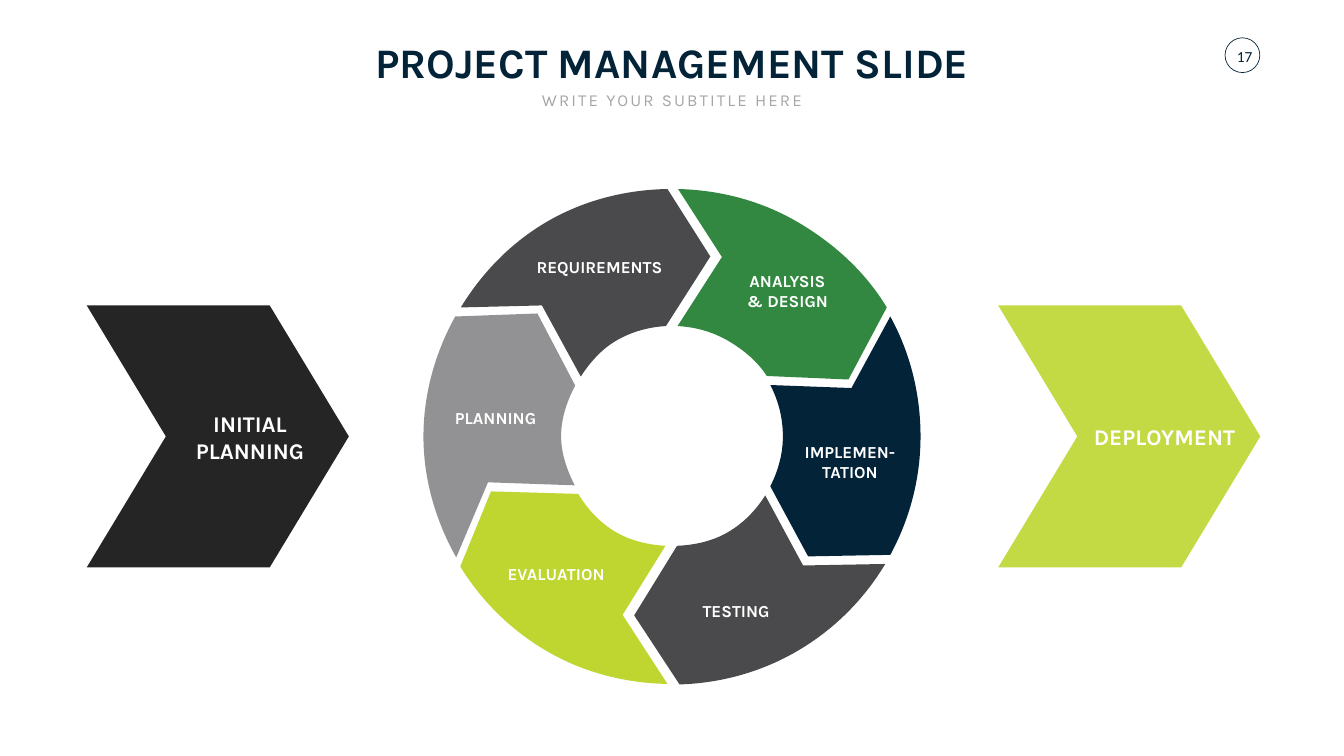
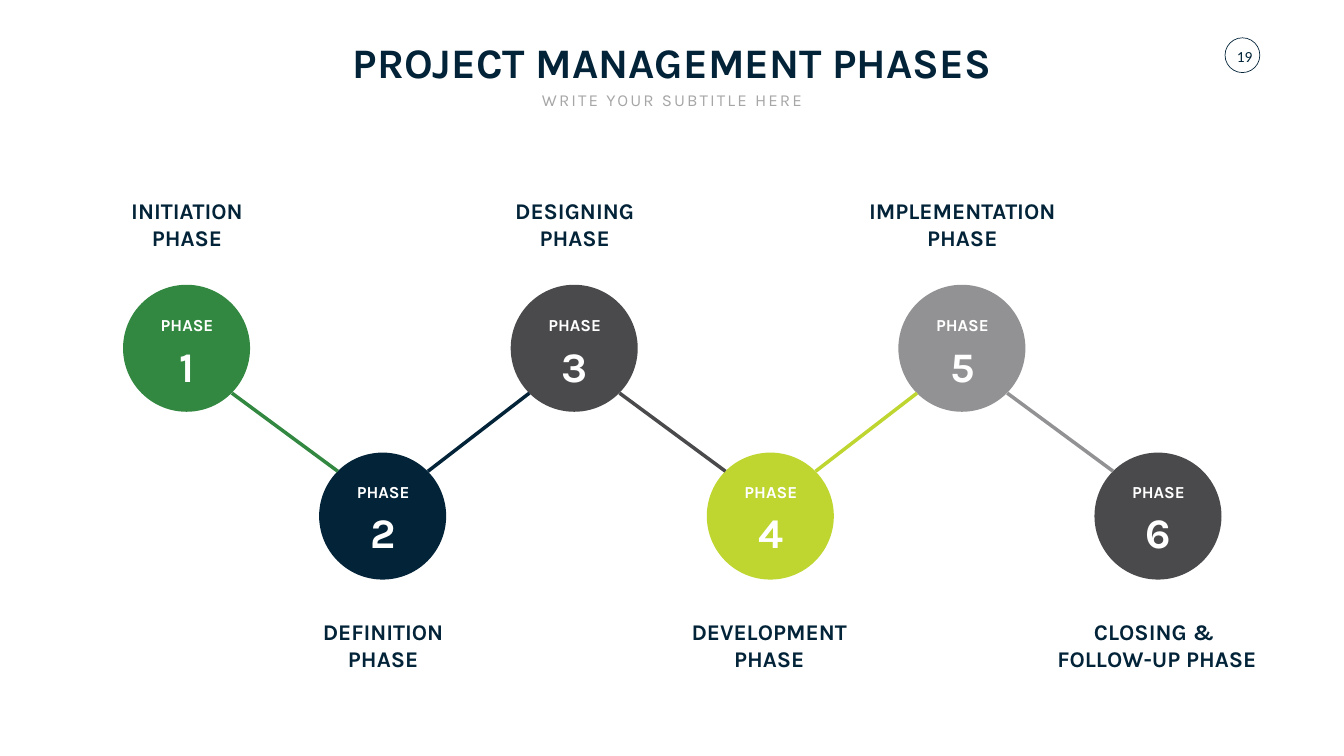
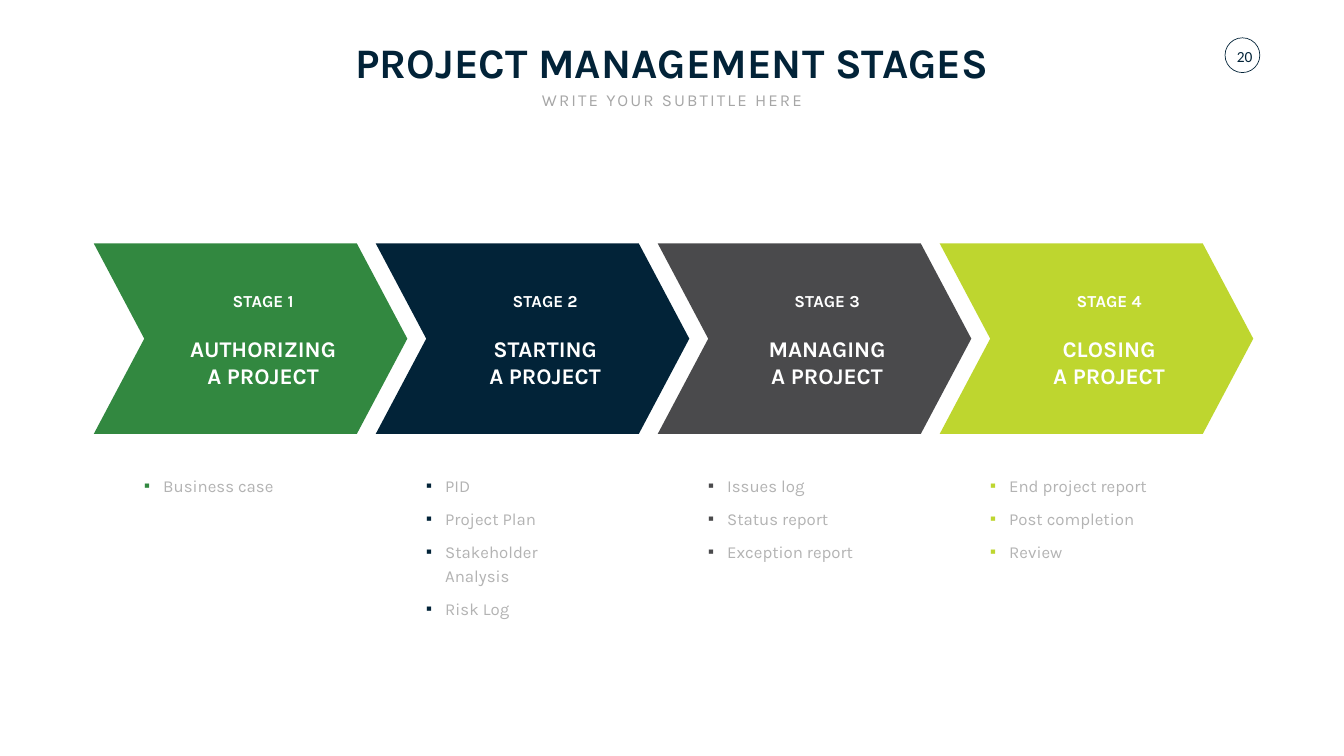
from math import atan2, cos, hypot, pi, sin, tan

from lxml.etree import SubElement
from pptx import Presentation
from pptx.dml.color import RGBColor
from pptx.enum.shapes import MSO_CONNECTOR, MSO_SHAPE
from pptx.enum.text import MSO_ANCHOR, MSO_AUTO_SIZE, PP_ALIGN
from pptx.oxml.ns import qn
from pptx.util import Inches, Pt

NAVY, GREEN, DARK, GREY, LIME = "022338", "328840", "4A4A4C", "929294", "BED62F"
BLACK, PALE, WHITE = "252526", "C4DA44", "FFFFFF"
SUB, BODY = "A6A6A6", "B3B3B3"
FACE, PLAIN = "Karla", "Calibri"
OUTER, INNER = 4.93, 2.2

RING = [
    (["REQUIREMENTS"], DARK, (-1.44, -3.37, 2.75),
     [(-0.12, -2.19), (0.76, -3.57), (-0.09, -4.91), (-4.19, -2.56), (-2.58, -2.6), (-1.81, -1.19)]),
    (["PLANNING"], GREY, (-3.5, -0.37, 1.94),
     [(-1.93, 0.97), (-3.65, 0.91), (-4.28, 2.4), (-4.3, -2.38), (-2.67, -2.44), (-1.92, -1.01)]),
    (["EVALUATION"], LIME, (-2.3, 2.72, 2.34),
     [(-0.13, 2.17), (-0.98, 3.54), (-0.09, 4.91), (-4.2, 2.58), (-3.59, 1.09), (-1.86, 1.14)]),
    (["TESTING"], DARK, (1.27, 3.45, 1.6),
     [(1.85, 1.17), (2.6, 2.56), (4.23, 2.53), (0.15, 4.92), (-0.75, 3.55), (0.1, 2.17)]),
    (["IMPLEMEN-", "TATION"], NAVY, (3.53, 0.51, 2.1),
     [(1.95, 0.99), (2.7, 2.38), (4.33, 2.35), (4.33, -2.38), (3.56, -0.96), (1.95, -1.02)]),
    (["ANALYSIS", "& DESIGN"], GREEN, (2.29, -2.89, 1.85),
     [(1.88, -1.2), (3.5, -1.13), (4.26, -2.56), (0.12, -4.91), (0.99, -3.56), (0.11, -2.19)]),
]
PHASES = [
    (["INITIATION", "PHASE"], GREEN, 2.62, 0),
    (["DEFINITION", "PHASE"], NAVY, 2.71, 0),
    (["DESIGNING", "PHASE"], DARK, 2.67, 0),
    (["DEVELOPMENT", "PHASE"], LIME, 3.44, -0.03),
    (["IMPLEMENTATION", "PHASE"], GREY, 4.16, 0),
    (["CLOSING & ", "FOLLOW-UP PHASE"], DARK, 4.46, -0.03),
]
STAGES = [
    ("AUTHORIZING", GREEN, 3.3, ["Business case"]),
    ("STARTING", NAVY, 2.66, ["PID", "Project Plan", "Stakeholder Analysis", "Risk Log"]),
    ("MANAGING", DARK, 2.77, ["Issues log", "Status report", "Exception report"]),
    ("CLOSING", LIME, 2.66, ["End project report", "Post completion", "Review"]),
]


def ink(code):
    """Turn a hex string into a colour."""
    return RGBColor.from_string(code)


def apply(obj, look):
    """Set each attribute named in a dict."""
    for key, val in look.items():
        setattr(obj, key, val)


def style(para, size, color, bold=True, face=FACE):
    """Format the font of a paragraph."""
    apply(para.font, {"size": Pt(size), "bold": bold, "name": face})
    para.font.color.rgb = ink(color)


def fill(shape, color):
    """Give a shape a flat fill, or none, with no line or shadow."""
    shape.shadow.inherit = False
    shape.line.fill.background()
    if color:
        shape.fill.solid()
        shape.fill.fore_color.rgb = ink(color)
    else:
        shape.fill.background()


def place(slide, kind, box, color=None, adj=None):
    """Add a preset shape."""
    shape = slide.shapes.add_shape(kind, *map(Inches, box))
    fill(shape, color)
    if adj:
        shape.adjustments[0] = adj
    return shape


def write(frame, lines, size, color, bold=True, face=FACE):
    """Fill a frame with centred lines that do not wrap."""
    apply(frame, {"word_wrap": False, "vertical_anchor": MSO_ANCHOR.MIDDLE,
                  "auto_size": MSO_AUTO_SIZE.SHAPE_TO_FIT_TEXT})
    for i, line in enumerate(lines):
        para = frame.add_paragraph() if i else frame.paragraphs[0]
        para.text = line
        para.alignment = PP_ALIGN.CENTER
        style(para, size, color, bold, face)


def span(x, y, wide, size, count=1):
    """Return the box of a text block centred on a point."""
    high = 0.1 + count * size * 0.0169
    return [Inches(v) for v in (x - wide / 2, y - high / 2, wide, high)]


def label(slide, x, y, wide, lines, size, color=WHITE, bold=True):
    """Add a text block centred on a point."""
    box = slide.shapes.add_textbox(*span(x, y, wide, size, len(lines)))
    write(box.text_frame, lines, size, color, bold)
    return box


def badge(slide, x, y, number):
    """Add the ringed page number."""
    ring = place(slide, MSO_SHAPE.OVAL, (x, y, 0.69, 0.69))
    ring.line.color.rgb = ink(NAVY)
    ring.line.width = Pt(1)
    frame = place(slide, MSO_SHAPE.OVAL, (x + 0.06, y + 0.04, 0.66, 0.66)).text_frame
    write(frame, [number], 22, NAVY, False, PLAIN)
    apply(frame, {"auto_size": MSO_AUTO_SIZE.NONE, "margin_left": 0,
                  "margin_right": 0, "margin_top": 0, "margin_bottom": 0})


def start(deck, title, wide, number):
    """Add a slide with its title, subtitle and page number."""
    slide = deck.slides.add_slide(deck.slide_layouts[5])
    head = slide.shapes.title
    apply(head, dict(zip(("left", "top", "width", "height"), span(13.33, 1.22, wide, 60))))
    write(head.text_frame, [title], 60, NAVY)
    sub = label(slide, 13.33, 1.98, 5.43, ["WRITE YOUR SUBTITLE HERE"], 24, SUB, False)
    sub.text_frame.paragraphs[0].runs[0].font._element.set("spc", "300")
    badge(slide, 24.3, 0.75, number)
    return slide


def arc(here, there, mid):
    """Return two curves, three points each, along the short arc about the origin."""
    a, b = (atan2(y, x) for x, y in (here, there))
    half = ((b - a + pi) % (2 * pi) - pi) / 2
    pull = 4 / 3 * tan(half / 4)
    stops = [(a, hypot(*here)), (a + half, mid), (a + 2 * half, hypot(*there))]
    pts = []
    for (s, p), (t, q) in zip(stops, stops[1:]):
        pts += [(p * (cos(s) - pull * sin(s)), p * (sin(s) + pull * cos(s))),
                (q * (cos(t) + pull * sin(t)), q * (sin(t) - pull * cos(t))),
                (q * cos(t), q * sin(t))]
    return pts


def bend(shape, firsts):
    """Merge three line steps into one curve at each given step."""
    steps = list(shape._element.iter(qn("a:lnTo")))
    for i in firsts:
        steps[i].tag = qn("a:cubicBezTo")
        for step in steps[i + 1:i + 3]:
            steps[i].append(step[0])
            step.getparent().remove(step)


def sector(group, x, y, pts, color):
    """Draw one arrow segment of the ring about a centre."""
    edge = pts[:3] + arc(pts[2], pts[3], OUTER) + pts[4:] + arc(pts[5], pts[0], INNER)
    dots = [(Inches(x + u), Inches(y + v)) for u, v in edge]
    pen = group.build_freeform(*dots[0])
    pen.add_line_segments(dots[1:])
    shape = pen.convert_to_shape()
    bend(shape, (2, 5, 10, 13))
    fill(shape, color)


def wheel(slide, x, y):
    """Draw the ring of arrow segments about a centre, with labels."""
    group = slide.shapes.add_group_shape().shapes
    for lines, color, spot, pts in RING:
        sector(group, x, y, pts, color)
    for lines, color, (u, v, wide), pts in RING:
        label(slide, x + u, y + v, wide, lines, 24)


def gate(slide, x, y, color, lines, shift, wide):
    """Draw a large chevron with its label."""
    place(slide, MSO_SHAPE.CHEVRON, (x, y, 5.2, 5.2), color, 0.302)
    label(slide, x + shift, y + 2.61, wide, lines, 32)


def link(slide, ends, color):
    """Join two points with a thick line."""
    line = slide.shapes.add_connector(MSO_CONNECTOR.STRAIGHT, *map(Inches, ends))
    line.line.color.rgb = ink(color)
    line.line.width = Pt(5)
    SubElement(line._element.spPr, qn("a:effectLst"))


def phase(slide, x, y, index):
    """Draw one phase circle with its number and caption."""
    lines, color, wide, shift = PHASES[index]
    word, digit, text = (0.77, 1.57, 3.81) if index % 2 else (0.79, 1.6, -1.21)
    mid = x + 1.27
    place(slide, MSO_SHAPE.OVAL, (x, y, 2.52, 2.52), color)
    label(slide, mid, y + word, 1.3, ["PHASE"], 24)
    label(slide, mid, y + digit, 0.72, [str(index + 1)], 60)
    label(slide, mid + shift, y + text, wide, lines, 32, NAVY)


def zigzag(slide, x, y):
    """Lay the phases out in two rows and join them."""
    spots = [(x + 7.69 * (i // 2) + 3.89 * (i % 2), y + 3.33 * (i % 2))
             for i in range(len(PHASES))]
    for i, (left, top) in enumerate(spots):
        phase(slide, left, top, i)
    rows = (y + 2.15, y + 3.7)
    for i, (here, there) in enumerate(zip(spots, spots[1:])):
        ends = (here[0] + 2.16, rows[i % 2], there[0] + 0.37, rows[1 - i % 2])
        link(slide, ends, PHASES[i][1])


def bullets(slide, x, y, items, color):
    """Add a list with coloured square bullets."""
    box = slide.shapes.add_textbox(*map(Inches, (x, y, 3.67, 0.66 * len(items) - 0.12)))
    frame = box.text_frame
    apply(frame, {"word_wrap": True, "auto_size": MSO_AUTO_SIZE.SHAPE_TO_FIT_TEXT})
    for i, item in enumerate(items):
        para = frame.add_paragraph() if i else frame.paragraphs[0]
        para.text = item
        props = para._p.get_or_add_pPr()
        props.set("marL", str(Inches(0.38)))
        props.set("indent", str(-Inches(0.38)))
        SubElement(SubElement(props, qn("a:buClr")), qn("a:srgbClr"), val=color)
        SubElement(props, qn("a:buFont"), typeface=PLAIN)
        SubElement(props, qn("a:buChar"), char="▪")
        apply(para, {"line_spacing": Pt(35), "space_before": Pt(12 if i else 0)})
        style(para, 24, BODY, False)


def stage(slide, x, y, index):
    """Draw one stage chevron with its list below."""
    name, color, wide, items = STAGES[index]
    place(slide, MSO_SHAPE.CHEVRON, (x, y, 6.22, 3.78), color, 0.265)
    label(slide, x + 3.36, y + 1.14, 1.56, [f"STAGE {index + 1}"], 24)
    label(slide, x + 3.36, y + 2.36, wide, [name, "A PROJECT"], 32)
    bullets(slide, x + 0.9, y + 4.47, items, color)


def main():
    """Build and save the deck."""
    deck = Presentation()
    apply(deck, {"slide_width": Inches(26.66), "slide_height": Inches(15)})
    slide = start(deck, "PROJECT MANAGEMENT SLIDE", 12.72, "17")
    wheel(slide, 13.33, 8.66)
    gate(slide, 1.72, 6.06, BLACK, ["INITIAL", "PLANNING"], 3.24, 2.52)
    gate(slide, 19.8, 6.06, PALE, ["DEPLOYMENT"], 3.3, 3.18)
    zigzag(start(deck, "PROJECT MANAGEMENT PHASES", 13.73, "19"), 2.44, 5.65)
    slide = start(deck, "PROJECT MANAGEMENT STAGES", 13.73, "20")
    for i in range(len(STAGES)):
        stage(slide, 1.86 + 16.78 / 3 * i, 4.83, i)
    deck.save("out.pptx")


if __name__ == "__main__":
    main()
